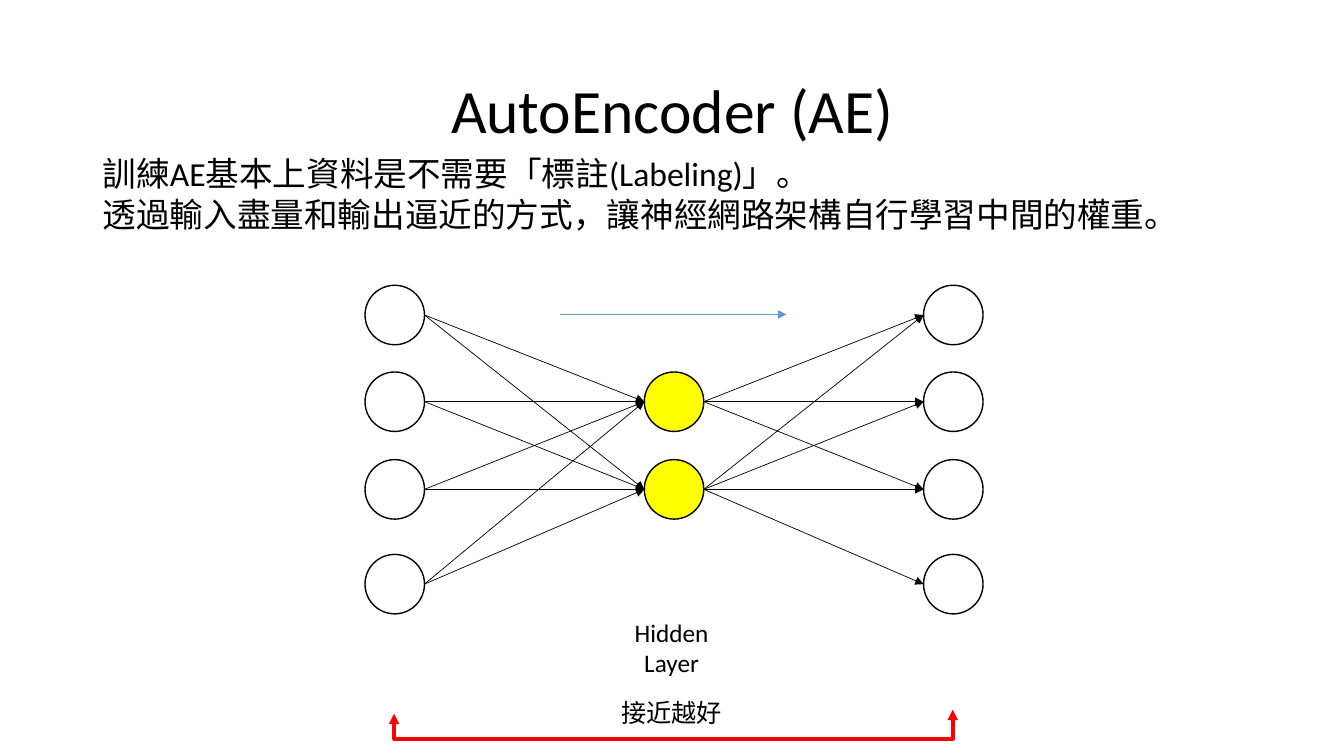
import pptx
import pptx.dml.color
import pptx.enum.shapes
import pptx.enum.text
import pptx.oxml.ns
import pptx.util
from pptx.util import Inches

RGBColor = pptx.dml.color.RGBColor
BLACK = RGBColor(0x00, 0x00, 0x00)
WHITE = RGBColor(0xFF, 0xFF, 0xFF)
YELLOW = RGBColor(0xFF, 0xFF, 0x00)
BLUE = RGBColor(0x5B, 0x9B, 0xD5)
RED = RGBColor(0xFF, 0x00, 0x00)

ALIGN = pptx.enum.text.PP_ALIGN
ANCHOR = pptx.enum.text.MSO_ANCHOR
AUTO_SIZE = pptx.enum.text.MSO_AUTO_SIZE
CONNECTOR = pptx.enum.shapes.MSO_CONNECTOR
SHAPE = pptx.enum.shapes.MSO_SHAPE

DIAMETER = 0.59
ROWS = [2.83, 3.69, 4.56, 5.5]
HIDDEN_ROWS = ROWS[1:3]
INPUT_LEFT, HIDDEN_LEFT, OUTPUT_LEFT = 3.62, 6.39, 9.16


def set_values(target, values):
    for name, value in values.items():
        setattr(target, name, value)


def append_element(parent, tag, **attributes):
    parent.append(parent.makeelement(pptx.oxml.ns.qn(tag), attributes))


class DiagramSlide:
    font_name = "Calibri"

    def __init__(self, presentation):
        self.slide = presentation.slides.add_slide(presentation.slide_layouts[5])

    def set_text(self, shape, lines, size, frame_format, paragraph_format):
        frame = shape.text_frame
        frame.text = "\n".join(lines)
        set_values(frame, frame_format)
        for paragraph in frame.paragraphs:
            set_values(paragraph, paragraph_format)
            set_values(paragraph.font, {"name": self.font_name, "size": pptx.util.Pt(size)})
            paragraph.font.color.rgb = BLACK

    def title(self, text, left, top, width, height):
        shape = self.slide.shapes.title
        set_values(shape, {"left": Inches(left), "top": Inches(top),
                           "width": Inches(width), "height": Inches(height)})
        self.set_text(shape, [text], 44,
                      {"vertical_anchor": ANCHOR.MIDDLE, "auto_size": AUTO_SIZE.NONE},
                      {"alignment": ALIGN.CENTER, "line_spacing": 0.9})

    def text(self, lines, left, top, width, height, size=18, alignment=ALIGN.CENTER, wrap=True):
        shape = self.slide.shapes.add_textbox(
            Inches(left), Inches(top), Inches(width), Inches(height))
        self.set_text(shape, lines, size,
                      {"word_wrap": wrap, "auto_size": AUTO_SIZE.SHAPE_TO_FIT_TEXT},
                      {"alignment": alignment})

    def neuron(self, left, top, color):
        shape = self.slide.shapes.add_shape(
            SHAPE.OVAL, Inches(left), Inches(top), Inches(DIAMETER), Inches(DIAMETER))
        shape.shadow.inherit = False
        shape.fill.solid()
        shape.fill.fore_color.rgb = color
        shape.line.color.rgb = BLACK
        shape.line.width = pptx.util.Pt(1)

    def arrow(self, begin, end, color=BLACK, width=0.5, kind=CONNECTOR.STRAIGHT, ends=("a:tailEnd",)):
        connector = self.slide.shapes.add_connector(
            kind, *(Inches(value) for value in (*begin, *end)))
        connector.line.color.rgb = color
        connector.line.width = pptx.util.Pt(width)
        properties = connector.element.spPr
        line = properties.find(pptx.oxml.ns.qn("a:ln"))
        for tag in ends:
            append_element(line, tag, type="triangle")
        append_element(properties, "a:effectLst")
        return properties

    def synapse(self, from_left, from_top, to_left, to_top):
        radius = DIAMETER / 2
        self.arrow((from_left + DIAMETER, from_top + radius), (to_left, to_top + radius))

    def bracket(self, left, right, begin_y, end_y, bottom, color):
        center_x, center_y = (left + right) / 2, (begin_y + end_y) / 2
        half_span, half_rise = (right - left) / 2, (begin_y - end_y) / 2
        properties = self.arrow(
            (center_x + half_rise, center_y + half_span),
            (center_x - half_rise, center_y - half_span),
            color, 2.5, CONNECTOR.ELBOW, ("a:headEnd", "a:tailEnd"))
        properties.find(pptx.oxml.ns.qn("a:xfrm")).set("rot", str(90 * 60000))
        adjustment = round((begin_y - bottom) / (begin_y - end_y) * 100000)
        geometry = properties.find(pptx.oxml.ns.qn("a:prstGeom"))
        guides = geometry.find(pptx.oxml.ns.qn("a:avLst"))
        append_element(guides, "a:gd", name="adj1", fmla=f"val {adjustment}")


def main():
    presentation = pptx.Presentation()
    set_values(presentation, {"slide_width": Inches(13.33), "slide_height": Inches(7.5)})
    diagram = DiagramSlide(presentation)
    diagram.title("AutoEncoder (AE)", 0.92, 0.4, 11.5, 1.45)

    for left, rows, color in (
        (INPUT_LEFT, ROWS, WHITE),
        (HIDDEN_LEFT, HIDDEN_ROWS, YELLOW),
        (OUTPUT_LEFT, ROWS, WHITE),
    ):
        for top in rows:
            diagram.neuron(left, top, color)

    for hidden_top, output_rows in zip(HIDDEN_ROWS, (ROWS[:3], ROWS)):
        for input_top in ROWS:
            diagram.synapse(INPUT_LEFT, input_top, HIDDEN_LEFT, hidden_top)
        for output_top in output_rows:
            diagram.synapse(HIDDEN_LEFT, hidden_top, OUTPUT_LEFT, output_top)

    diagram.arrow((5.55, 3.12), (7.8, 3.12), BLUE)
    diagram.text(["Hidden Layer"], 5.97, 6.07, 1.38, 0.71)
    diagram.text(
        ["訓練AE基本上資料是不需要「標註(Labeling)」。",
         "透過輸入盡量和輸出逼近的方式，讓神經網路架構自行學習中間的權重。"],
        0.92, 1.47, 10.97, 0.91, 24, ALIGN.LEFT, False)
    diagram.bracket(3.91, 9.45, 7.08, 7.04, 7.33, RED)
    diagram.text(["接近越好"], 5.22, 6.87, 2.88, 0.4)
    presentation.save("out.pptx")


if __name__ == "__main__":
    main()
